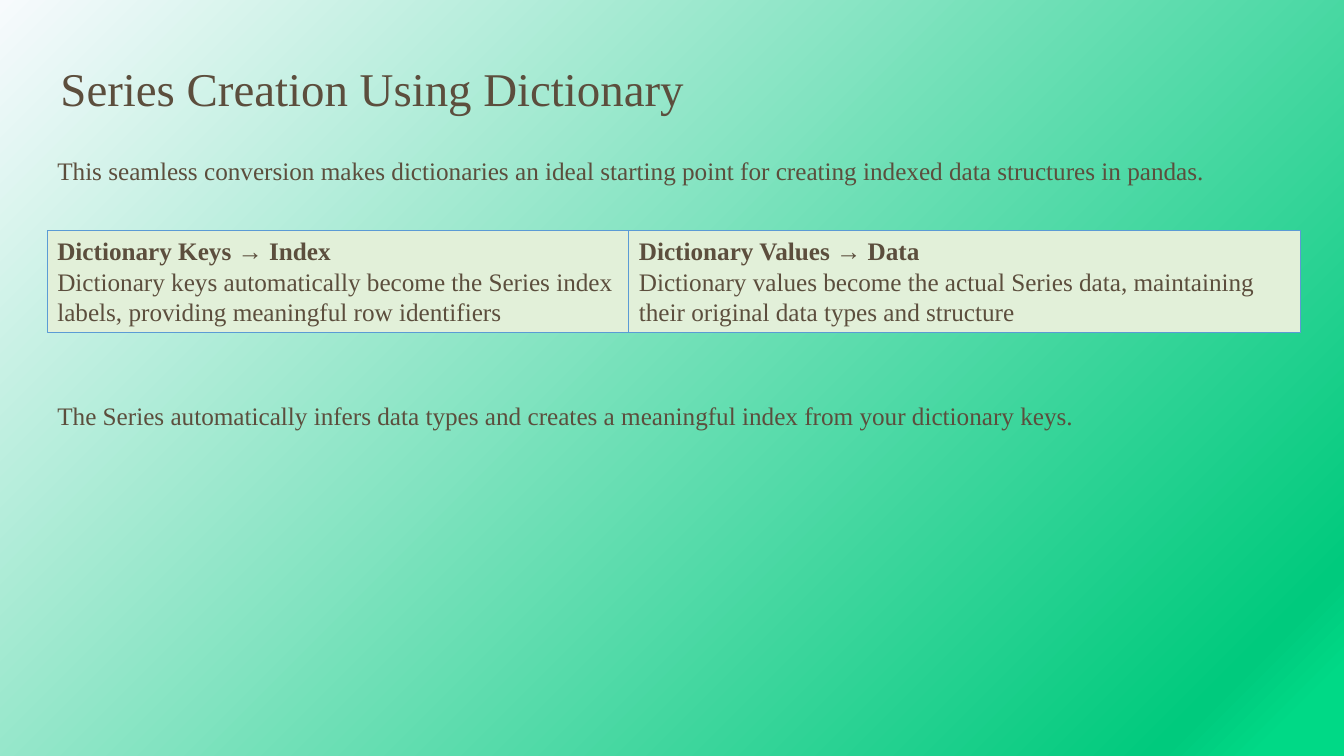
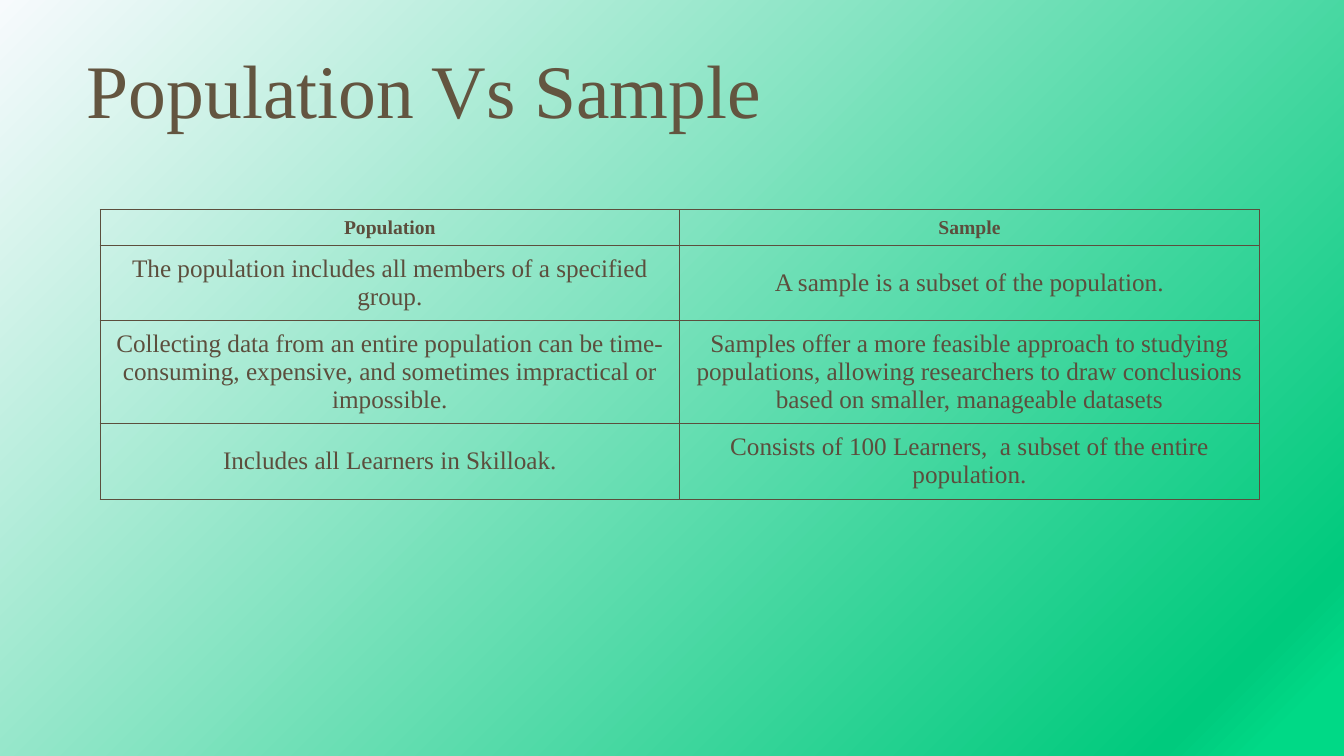
from dataclasses import dataclass

from lxml import etree
from pptx import Presentation
from pptx.dml.color import RGBColor
from pptx.enum.shapes import MSO_SHAPE
from pptx.enum.text import MSO_ANCHOR, MSO_AUTO_SIZE, PP_ALIGN
from pptx.oxml import parse_xml
from pptx.oxml.ns import nsdecls, qn
from pptx.util import Inches, Pt

RECTANGLE = MSO_SHAPE.RECTANGLE
TOP, MIDDLE, BOTTOM = MSO_ANCHOR.TOP, MSO_ANCHOR.MIDDLE, MSO_ANCHOR.BOTTOM
LEFT, CENTER = PP_ALIGN.LEFT, PP_ALIGN.CENTER
NO_AUTOFIT = MSO_AUTO_SIZE.NONE
TITLE_ONLY = 5

WIDTH, HEIGHT = Inches(13.333), Inches(7.5)
COLUMN, ROW = WIDTH / 100, HEIGHT / 100


@dataclass(frozen=True)
class Theme:
    font: str = "Times New Roman"
    ink: str = "5C4E3D"
    cover_ink: str = "635540"
    panel: str = "E2F0D9"
    panel_line: str = "5B9BD5"
    gradient: tuple = ((0, "F7FAFD"), (91, "00CA7D"), (96, "00D986"), (100, "00D986"))
    gradient_angle: int = 45
    heading: float = 33.5
    heading_leading: float = 42
    cover: float = 54
    cover_leading: float = 0.9
    body: float = 18
    header: float = 14
    panel_rule: float = 0.75
    table_rule: float = 1


@dataclass(frozen=True)
class Box:
    column: float
    row: float
    columns: float
    rows: float

    def emu(self):
        return (round(self.column * COLUMN), round(self.row * ROW),
                round(self.columns * COLUMN), round(self.rows * ROW))


THEME = Theme()


def rgb(value):
    return RGBColor.from_string(value)


def style(paragraph, size, bold=False, color=THEME.ink, align=LEFT):
    paragraph.alignment = align
    for run in paragraph.runs:
        run.font.name = THEME.font
        run.font.size = Pt(size)
        run.font.bold = bold
        run.font.color.rgb = rgb(color)


def set_background(master):
    fill = master.background.fill
    fill.gradient()
    fill.gradient_angle = 360 - THEME.gradient_angle
    stops = fill.gradient_stops[0]._gs.getparent()
    for stop in list(stops):
        stops.remove(stop)
    for position, color in THEME.gradient:
        stop = etree.SubElement(stops, qn("a:gs"), pos=str(position * 1000))
        etree.SubElement(stop, qn("a:srgbClr"), val=color)


def add_slide(deck, heading, box, size, color, leading, anchor, inset=None):
    slide = deck.slides.add_slide(deck.slide_layouts[TITLE_ONLY])
    title = slide.shapes.title
    title.left, title.top, title.width, title.height = box.emu()
    frame = title.text_frame
    frame.text = heading
    frame.auto_size = NO_AUTOFIT
    frame.vertical_anchor = anchor
    if inset is not None:
        frame.margin_left = frame.margin_right = inset
        frame.margin_top = frame.margin_bottom = inset
    frame.paragraphs[0].line_spacing = leading
    style(frame.paragraphs[0], size, color=color)
    return slide


def add_note(slide, box, text):
    frame = slide.shapes.add_textbox(*box.emu()).text_frame
    frame.word_wrap = True
    frame.text = text
    style(frame.paragraphs[0], THEME.body)


def add_panel(slide, box, heading, detail):
    panel = slide.shapes.add_shape(RECTANGLE, *box.emu())
    panel.shadow.inherit = False
    panel.fill.solid()
    panel.fill.fore_color.rgb = rgb(THEME.panel)
    panel.line.color.rgb = rgb(THEME.panel_line)
    panel.line.width = Pt(THEME.panel_rule)
    frame = panel.text_frame
    frame.word_wrap = True
    frame.vertical_anchor = TOP
    frame.text = f"{heading}\n{detail}"
    for paragraph, bold in zip(frame.paragraphs, (True, False)):
        style(paragraph, THEME.body, bold)


def set_borders(cell):
    properties = cell._tc.get_or_add_tcPr()
    for index, side in enumerate(("lnL", "lnR", "lnT", "lnB")):
        properties.insert(index, parse_xml(
            f'<a:{side} {nsdecls("a")} w="{Pt(THEME.table_rule)}"><a:solidFill>'
            f'<a:srgbClr val="{THEME.ink}"/></a:solidFill></a:{side}>'))


def add_comparison(slide, box, entries, row_heights):
    table = slide.shapes.add_table(len(entries), len(entries[0]), *box.emu()).table
    table.first_row = table.horz_banding = False
    for row, height in zip(table.rows, row_heights):
        row.height = round(height * ROW)
    for row_index, texts in enumerate(entries):
        is_header = row_index == 0
        for column_index, text in enumerate(texts):
            cell = table.cell(row_index, column_index)
            cell.text = text
            cell.fill.background()
            cell.vertical_anchor = MIDDLE
            cell.margin_left = cell.margin_right = Inches(0.07)
            cell.margin_top = cell.margin_bottom = Inches(0.06 if is_header else 0.09)
            style(cell.text_frame.paragraphs[0],
                  THEME.header if is_header else THEME.body, is_header, align=CENTER)
            set_borders(cell)


def build_dictionary_slide(deck):
    slide = add_slide(deck, "Series Creation Using Dictionary", Box(4.5, 7.6, 60, 7.73),
                      THEME.heading, THEME.ink, Pt(THEME.heading_leading), TOP, inset=0)
    add_panel(slide, Box(3.53, 30.53, 43.95, 13.47), "Dictionary Keys → Index",
              "Dictionary keys automatically become the Series index labels, "
              "providing meaningful row identifiers")
    add_panel(slide, Box(46.8, 30.53, 50, 13.47), "Dictionary Values → Data",
              "Dictionary values become the actual Series data, maintaining "
              "their original data types and structure")
    add_note(slide, Box(3.53, 19.87, 96.47, 5.33),
             "This seamless conversion makes dictionaries an ideal starting point "
             "for creating indexed data structures in pandas.")
    add_note(slide, Box(3.53, 52.27, 94.7, 5.33),
             "The Series automatically infers data types and creates a meaningful "
             "index from your dictionary keys.")


def build_population_slide(deck):
    slide = add_slide(deck, "Population Vs Sample", Box(5.7, 5.3, 69.7, 13.2),
                      THEME.cover, THEME.cover_ink, THEME.cover_leading, BOTTOM)
    row_heights = (4.7, 10, 13.6, 10)
    add_comparison(slide, Box(7.45, 27.73, 86.25, sum(row_heights)), (
        ("Population", "Sample"),
        ("The population includes all members of a specified group.",
         "A sample is a subset of the population."),
        ("Collecting data from an entire population can be time-consuming, "
         "expensive, and sometimes impractical or impossible.",
         "Samples offer a more feasible approach to studying populations, allowing "
         "researchers to draw conclusions based on smaller, manageable datasets"),
        ("Includes all Learners in Skilloak.",
         "Consists of 100 Learners,  a subset of the entire population."),
    ), row_heights)


def main():
    deck = Presentation()
    deck.slide_width, deck.slide_height = WIDTH, HEIGHT
    set_background(deck.slide_master)
    build_dictionary_slide(deck)
    build_population_slide(deck)
    deck.save("out.pptx")


if __name__ == "__main__":
    main()
